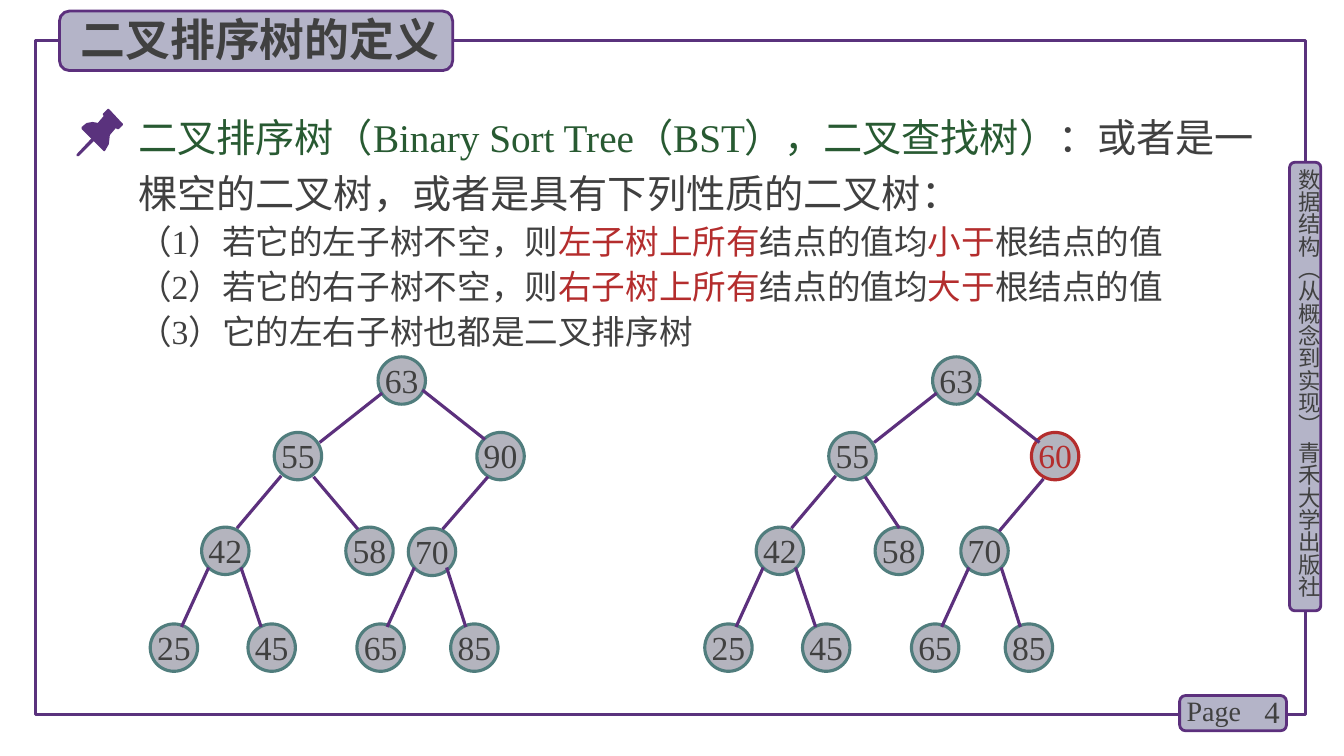
"""Builds the slide that defines the binary sort tree with two example trees."""
from lxml import etree
from pptx import Presentation
from pptx.dml.color import RGBColor
from pptx.enum.shapes import MSO_CONNECTOR, MSO_SHAPE
from pptx.enum.text import MSO_ANCHOR, MSO_AUTO_SIZE, PP_ALIGN
from pptx.oxml.ns import qn
from pptx.util import Inches, Pt

STRAIGHT = MSO_CONNECTOR.STRAIGHT
RECTANGLE, ROUNDED, OVAL = MSO_SHAPE.RECTANGLE, MSO_SHAPE.ROUNDED_RECTANGLE, MSO_SHAPE.OVAL
TOP, MIDDLE = MSO_ANCHOR.TOP, MSO_ANCHOR.MIDDLE
NO_FIT = MSO_AUTO_SIZE.NONE
LEFT, CENTER, RIGHT, JUSTIFY = PP_ALIGN.LEFT, PP_ALIGN.CENTER, PP_ALIGN.RIGHT, PP_ALIGN.JUSTIFY
SANS, SERIF = "Noto Sans CJK SC", "Times New Roman"
PURPLE, VIOLET, LAVENDER, GRAY = "5A327D", "5C307D", "B4B4C8", "B4B4BE"
DARK, GREEN, RED, TEAL = "404040", "285A32", "B42D2D", "507D7D"


def color(target, value):
    if hasattr(target, "solid"):
        target.solid()
        target = target.fore_color
    else:
        target = target.color
    target.rgb = RGBColor.from_string(value)


def add_span(para, text, size, value, name=SERIF, bold=False):
    span = para.add_run()
    span.text = text
    for key, setting in {"size": Pt(size), "name": name, "bold": bold}.items():
        setattr(span.font, key, setting)
    color(span.font, value)
    etree.SubElement(span._r.get_or_add_rPr(), qn("a:ea"), typeface=SANS)


deck = Presentation()
deck.slide_width, deck.slide_height = Inches(13.33), Inches(7.5)
page = deck.slides.add_slide(deck.slide_layouts[5])

frame = page.shapes.add_shape(RECTANGLE, Inches(0.35), Inches(0.4), Inches(12.6), Inches(6.69))
frame.shadow.inherit = False
frame.fill.background()
color(frame.line, PURPLE)
frame.line.width = Pt(2.25)

plates = [(12.79, 1.61, 0.31, 4.45), (11.7, 6.9, 1.06, 0.35), (0.59, 0.11, 3.9, 0.59)]
for area in plates:
    plate = page.shapes.add_shape(ROUNDED, *map(Inches, area))
    plate.shadow.inherit = False
    color(plate.fill, LAVENDER)
    color(plate.line, VIOLET)
    plate.line.width = Pt(2)

title = page.shapes.title
page.shapes.element.append(title.element)
title_place = {"left": 0.7, "top": 0.07, "width": 4.09, "height": 0.64}
for key, length in title_place.items():
    setattr(title, key, Inches(length))
title_format = {"vertical_anchor": TOP, "auto_size": NO_FIT, "word_wrap": True}
for key, setting in title_format.items():
    setattr(title.text_frame, key, setting)
heading = title.text_frame.paragraphs[0]
heading.alignment = LEFT
add_span(heading, "二叉排序树的定义", 32, DARK, SANS, True)

labels = [
    ("数据结构（从概念到实现） 青禾大学出版社", (12.85, 1.67, 0.27, 4.49), 16, SANS, LEFT, TOP),
    ("4", (12.2, 6.86, 0.59, 0.4), 22, SERIF, RIGHT, MIDDLE),
    ("Page", (11.67, 6.83, 0.78, 0.44), 20, SERIF, LEFT, TOP),
]
for text, area, size, name, alignment, anchor in labels:
    box = page.shapes.add_textbox(*map(Inches, area))
    box.text_frame.word_wrap = True
    box.text_frame.vertical_anchor = anchor
    if area[3] > area[2]:
        for side in ("left", "top", "right", "bottom"):
            setattr(box.text_frame, f"margin_{side}", 0)
        box.element.txBody.bodyPr.set("vert", "eaVert")
    para = box.text_frame.paragraphs[0]
    para.alignment = alignment
    add_span(para, text, size, DARK, name)

definition = [
    [("二叉排序树（Binary Sort Tree（BST），二叉查找树）", GREEN),
     ("：或者是一棵空的二叉树，或者是具有下列性质的二叉树：", DARK)],
]
for number, side, relation in [(1, "左", "小于"), (2, "右", "大于")]:
    definition.append([
        (f"（{number}）若它的{side}子树不空，则", DARK), (f"{side}子树上所有", RED),
        ("结点的值均", DARK), (relation, RED), ("根结点的值", DARK)])
definition.append([("（3）它的左右子树也都是二叉排序树", DARK)])

box = page.shapes.add_textbox(Inches(1.37), Inches(0.98), Inches(11.3), Inches(2.58))
body = box.text_frame
for key, setting in {"word_wrap": True, "margin_left": 0, "margin_right": 0}.items():
    setattr(body, key, setting)
for index, spans in enumerate(definition):
    para = body.add_paragraph() if index else body.paragraphs[0]
    para.alignment = JUSTIFY if index else LEFT
    para.line_spacing = Pt(32) if index else 1.2
    for text, value in spans:
        add_span(para, text, 24 if index else 28, value)

pin_outlines = [
    [(1.22, 1.23), (1.08, 1.08), (1.07, 1.08), (1.02, 1.13), (1.02, 1.14), (1.03, 1.15),
     (0.97, 1.22), (0.92, 1.21), (0.86, 1.22), (0.81, 1.26), (0.81, 1.28), (1.03, 1.5),
     (1.04, 1.5), (1.08, 1.43), (1.09, 1.34), (1.15, 1.27), (1.16, 1.28), (1.18, 1.28),
     (1.22, 1.24)],
    [(0.77, 1.55), (0.76, 1.55), (0.76, 1.53), (0.91, 1.37), (0.94, 1.37), (0.94, 1.39),
     (0.78, 1.55)],
]
pin = page.shapes.add_group_shape()
for outline in pin_outlines:
    points = [(Inches(x), Inches(y)) for x, y in outline]
    builder = pin.shapes.build_freeform(*points[0])
    builder.add_line_segments(points[1:], close=True)
    part = builder.convert_to_shape()
    part.shadow.inherit = False
    color(part.fill, PURPLE)
    part.line.fill.background()

shared_nodes = [("63", 3.75, 3.54), ("55", 2.72, 4.29), ("42", 2, 5.23), ("25", 1.49, 6.19),
                ("45", 2.46, 6.19), ("65", 3.54, 6.19), ("85", 4.47, 6.19)]
shared_edges = [(2.79, 4.72, 2.35, 5.24), (3.79, 3.9, 3.17, 4.39), (4.43, 5.63, 4.62, 6.22),
                (4.11, 5.63, 3.84, 6.22), (2.39, 5.63, 2.59, 6.22), (2.07, 5.63, 1.8, 6.22)]
trees = [
    (5.5, [("60", 4.73, 4.29), ("58", 3.18, 5.23), ("70", 4.03, 5.23)],
     [(4.85, 4.75, 4.41, 5.27), (3.08, 4.73, 3.42, 5.24), (4.19, 3.9, 4.81, 4.39)]),
    (0, [("90", 4.73, 4.29), ("58", 3.43, 5.23), ("70", 4.05, 5.24)],
     [(4.84, 4.73, 4.39, 5.25), (3.11, 4.73, 3.55, 5.25), (4.19, 3.87, 4.81, 4.36)]),
]
node_format = {"vertical_anchor": TOP, "word_wrap": False, "margin_left": 0,
               "margin_right": 0, "margin_top": 0, "margin_bottom": 0}
for shift, own_nodes, own_edges in trees:
    tree = page.shapes.add_group_shape()
    for key, x, y in shared_nodes + own_nodes:
        node = tree.shapes.add_shape(OVAL, Inches(x + shift), Inches(y), Inches(0.47), Inches(0.47))
        node.shadow.inherit = False
        color(node.fill, GRAY)
        color(node.line, RED if key == "60" else TEAL)
        node.line.width = Pt(2.25)
        for name, setting in node_format.items():
            setattr(node.text_frame, name, setting)
        para = node.text_frame.paragraphs[0]
        para.alignment = CENTER
        para.line_spacing = Pt(26)
        add_span(para, key, 24, RED if key == "60" else DARK)
    for x1, y1, x2, y2 in shared_edges + own_edges:
        edge = tree.shapes.add_connector(STRAIGHT, Inches(x1 + shift), Inches(y1),
                                         Inches(x2 + shift), Inches(y2))
        color(edge.line, VIOLET)
        edge.line.width = Pt(2.25)
        etree.SubElement(edge.element.spPr, qn("a:effectLst"))

deck.save("out.pptx")
